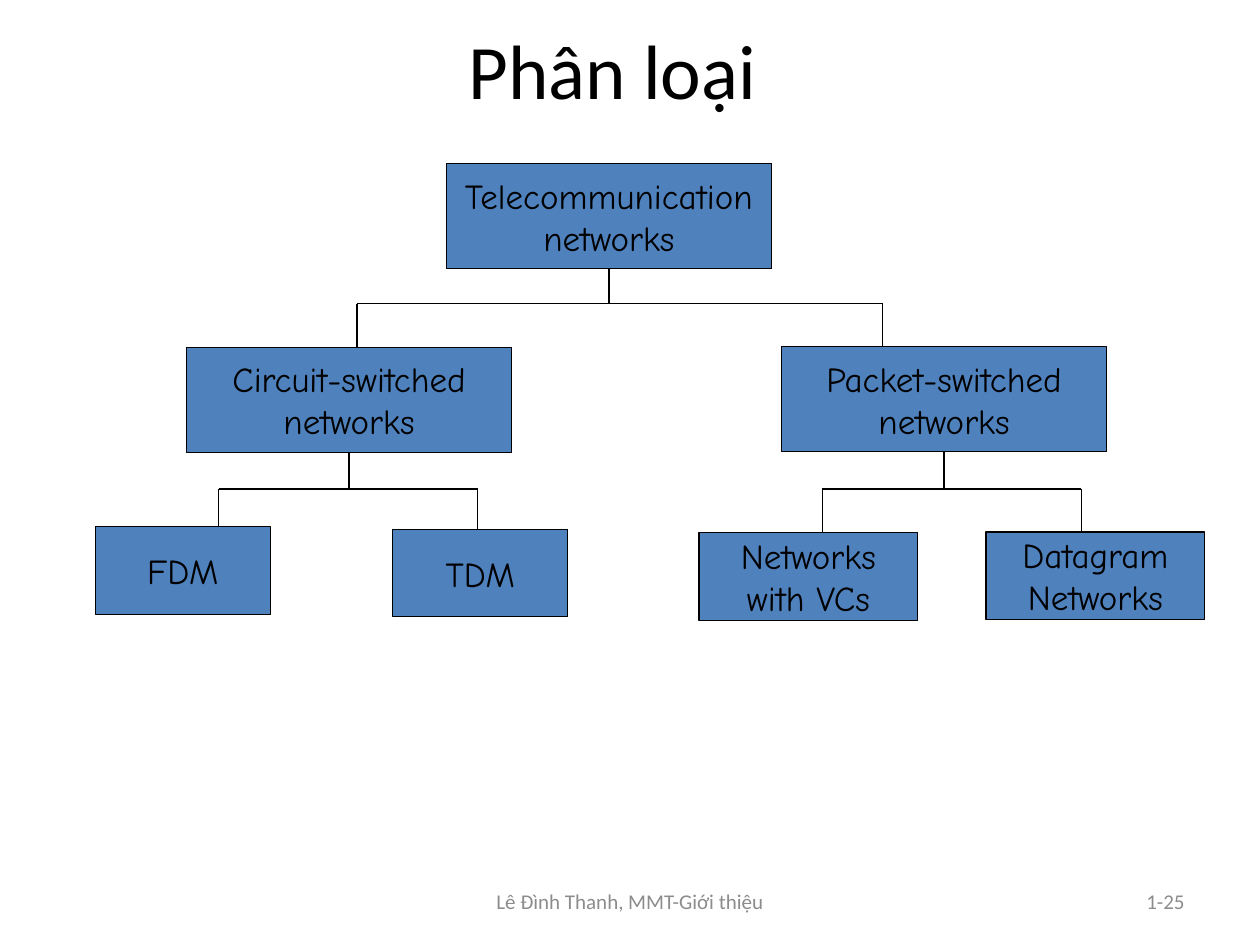
from dataclasses import dataclass

from lxml import etree
from pptx import Presentation
from pptx.dml.color import RGBColor
from pptx.enum.shapes import MSO_CONNECTOR, MSO_SHAPE
from pptx.enum.text import MSO_ANCHOR, PP_ALIGN
from pptx.oxml.ns import qn
from pptx.util import Pt

RECTANGLE = MSO_SHAPE.RECTANGLE
STRAIGHT = MSO_CONNECTOR.STRAIGHT
MIDDLE = MSO_ANCHOR.MIDDLE
CENTER, RIGHT = PP_ALIGN.CENTER, PP_ALIGN.RIGHT
BOTTOM_SIDE = 2


@dataclass(frozen=True)
class Theme:
    black: RGBColor = RGBColor(0, 0, 0)
    grey: RGBColor = RGBColor(0x8C, 0x8C, 0x8C)
    blue: RGBColor = RGBColor(0x4F, 0x81, 0xBD)
    text_font: str = "Calibri"
    node_font: str = "Comic Neue"
    title_size: float = 44
    node_size: float = 20
    footer_size: float = 12
    line_width: float = 0.75


class TreeSlide:
    """Holds the theme and the slide being drawn; lengths are in points."""

    def __init__(self, slide, theme):
        self.slide = slide
        self.theme = theme

    def fill_text(self, shape, lines, alignment, wrap, color, font_format):
        frame = shape.text_frame
        frame.word_wrap = wrap
        frame.vertical_anchor = MIDDLE
        for index, line in enumerate(lines):
            paragraph = frame.paragraphs[0] if index == 0 else frame.add_paragraph()
            paragraph.alignment = alignment
            run = paragraph.add_run()
            run.text = line
            for name, value in font_format.items():
                setattr(run.font, name, value)
            run.font.color.rgb = color

    def text(self, text, box, size, color, alignment):
        shape = self.slide.shapes.add_textbox(*map(Pt, box))
        font_format = {"name": self.theme.text_font, "size": Pt(size)}
        self.fill_text(shape, [text], alignment, True, color, font_format)

    def node(self, lines, left, top, width, height):
        theme = self.theme
        shape = self.slide.shapes.add_shape(RECTANGLE, *map(Pt, (left, top, width, height)))
        shape.shadow.inherit = False
        shape.fill.solid()
        shape.fill.fore_color.rgb = theme.blue
        shape.line.color.rgb = theme.black
        shape.line.width = Pt(theme.line_width)
        font_format = {"name": theme.node_font, "size": Pt(theme.node_size)}
        self.fill_text(shape, lines, CENTER, False, theme.black, font_format)
        return shape

    def line(self, start_x, start_y, end_x, end_y):
        connector = self.slide.shapes.add_connector(STRAIGHT, start_x, start_y, end_x, end_y)
        connector.line.color.rgb = self.theme.black
        connector.line.width = Pt(self.theme.line_width)
        etree.SubElement(connector.element.spPr, qn("a:effectLst"))
        return connector

    def branch(self, parent, children, bar_y, drop_xs):
        """Draw a stem below the parent, a bar, and a drop to each child."""
        bar_y = Pt(bar_y)
        drop_xs = [Pt(x) for x in drop_xs]
        middle = parent.left + parent.width // 2
        stem = self.line(middle, parent.top + parent.height, middle, bar_y)
        stem.begin_connect(parent, BOTTOM_SIDE)
        self.line(drop_xs[0], bar_y, drop_xs[-1], bar_y)
        for child, x in zip(children, drop_xs):
            self.line(x, bar_y, x, child.top)


def main():
    presentation = Presentation()
    presentation.slide_width, presentation.slide_height = Pt(720), Pt(540)
    theme = Theme()
    tree = TreeSlide(presentation.slides.add_slide(presentation.slide_layouts[6]), theme)

    tree.text("Lê Đình Thanh, MMT-Giới thiệu", (246, 500.5, 228, 28.5),
              theme.footer_size, theme.grey, CENTER)
    tree.text("1-25", (516, 500.5, 168, 28.5), theme.footer_size, theme.grey, RIGHT)
    tree.text("Phân loại", (44, 0, 612, 78.5), theme.title_size, theme.black, CENTER)

    network_size = (186, 60)
    multiplexing_size = (100, 50)
    packet_size = (125, 50)
    root = tree.node(["Telecommunication", "networks"], 255, 93.5, *network_size)
    circuit = tree.node(["Circuit-switched", "networks"], 106.5, 198.5, *network_size)
    packet = tree.node(["Packet-switched", "networks"], 446.5, 198, *network_size)
    fdm = tree.node(["FDM"], 54.5, 301, *multiplexing_size)
    tdm = tree.node(["TDM"], 224.5, 302.5, *multiplexing_size)
    virtual_circuits = tree.node(["Networks", "with VCs"], 399.5, 304.5, *packet_size)
    datagram = tree.node(["Datagram", "Networks"], 563.5, 304, *packet_size)

    tree.branch(root, [circuit, packet], 173.5, (204, 504.5))
    tree.branch(circuit, [fdm, tdm], 279.5, (125, 273))
    tree.branch(packet, [virtual_circuits, datagram], 279.5, (470, 618))

    presentation.save("out.pptx")


if __name__ == "__main__":
    main()
